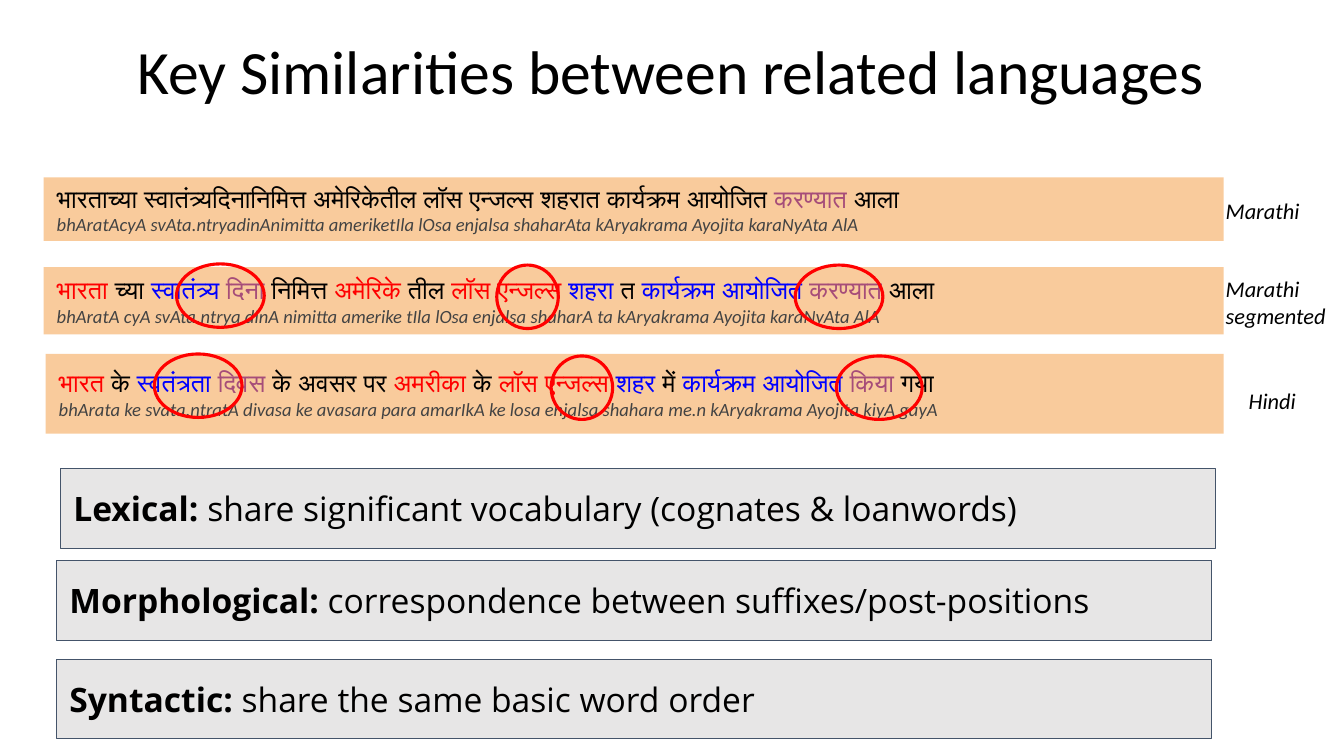
import pptx
import pptx.util
import pptx.dml.color
import pptx.enum.shapes
import pptx.enum.text
import pptx.oxml.ns
import lxml.etree

Cm, Pt = pptx.util.Cm, pptx.util.Pt
SHAPES = pptx.enum.shapes.MSO_SHAPE
ANCHOR = pptx.enum.text.MSO_ANCHOR
ALIGN = pptx.enum.text.PP_ALIGN

# Content: colours mark words that correspond across the sentences
BLACK, RED, BLUE, PURPLE = "000000", "FF0000", "0000FF", "A64D79"
TITLE = "Key Similarities between related languages"

# Each sentence: box (left, top, width, height), coloured words, transliteration
SENTENCES = [
    ((1.1, 4.47, 29.74, 1.6),
     [("भारताच्या स्वातंत्र्यदिनानिमित्त अमेरिकेतील लॉस एन्जल्स शहरात कार्यक्रम आयोजित ", BLACK),
      ("करण्यात", PURPLE), (" आला", BLACK)],
     "bhAratAcyA svAta.ntryadinAnimitta ameriketIla lOsa enjalsa shaharAta "
     "kAryakrama Ayojita karaNyAta AlA"),
    ((1.1, 6.73, 29.74, 1.7),
     [("भारता", RED), (" च्या ", BLACK), ("स्वातंत्र्य ", BLUE), ("दिना", PURPLE),
      (" निमित्त ", BLACK), ("अमेरिके", RED), (" तील ", BLACK), ("लॉस एन्जल्स ", RED),
      ("शहरा", BLUE), (" त ", BLACK), ("कार्यक्रम आयोजित ", BLUE),
      ("करण्यात", PURPLE), (" आला", BLACK)],
     "bhAratA cyA svAta.ntrya dinA nimitta amerike tIla lOsa enjalsa shaharA ta "
     "kAryakrama Ayojita karaNyAta AlA"),
    ((1.15, 8.92, 29.69, 2.01),
     [("भारत", RED), (" के ", BLACK), ("स्वतंत्रता ", BLUE), ("दिवस", PURPLE),
      (" के अवसर पर ", BLACK), ("अमरीका", RED), (" के ", BLACK), ("लॉस एन्जल्स ", RED),
      ("शहर", BLUE), (" में ", BLACK), ("कार्यक्रम आयोजित ", BLUE),
      ("किया", PURPLE), (" गया", BLACK)],
     "bhArata ke svata.ntratA divasa ke avasara para amarIkA ke losa enjalsa "
     "shahara me.n kAryakrama Ayojita kiyA gayA"),
]

LABELS = [
    ("Marathi", 30.56, 4.65, 2.57),
    ("Marathi\vsegmented", 30.56, 6.6, 3.3),
    ("Hindi", 31.14, 9.42, 2.57),
]

SIMILARITIES = [
    ("Lexical: ", "share significant vocabulary (cognates & loanwords)", 1.52, 11.81),
    ("Morphological: ", "correspondence between suffixes/post-positions", 1.42, 14.12),
    ("Syntactic: ", "share the same basic word order", 1.42, 16.61),
]

# Circled words: left, top, width
CIRCLES = [
    (4.45, 6.65, 2.21), (3.89, 8.92, 2.21), (20.04, 6.68, 2.21),
    (21.08, 8.97, 2.16), (12.52, 6.68, 1.55), (13.89, 8.97, 1.55),
]


def color(value):
    return pptx.dml.color.RGBColor.from_string(value)


def format_run(run, name, size, tint=BLACK, bold=False, italic=False):
    font = run.font
    font.name, font.size, font.bold, font.italic = name, Pt(size), bold, italic
    font.color.rgb = color(tint)
    # Devanagari is drawn with the complex-script font
    complex_script = lxml.etree.SubElement(
        run._r.get_or_add_rPr(), pptx.oxml.ns.qn("a:cs"))
    complex_script.set("typeface", name)


def add_run(paragraph, text, *style, **options):
    run = paragraph.add_run()
    run.text = text
    format_run(run, *style, **options)


def set_frame(frame, inset, anchor):
    frame.word_wrap = True
    frame.vertical_anchor = anchor
    frame.margin_left = frame.margin_right = Cm(inset)
    frame.margin_top = frame.margin_bottom = Cm(inset)


def add_shape(kind, box, fill=None, line=None, line_width=0.75):
    shape = slide.shapes.add_shape(kind, *[Cm(length) for length in box])
    shape.shadow.inherit = False
    if fill:
        shape.fill.solid()
        shape.fill.fore_color.rgb = color(fill)
    else:
        shape.fill.background()
    if line:
        shape.line.color.rgb = color(line)
        shape.line.width = Pt(line_width)
    else:
        shape.line.fill.background()
    set_frame(shape.text_frame, 0.33, ANCHOR.MIDDLE)
    shape.text_frame.paragraphs[0].alignment = ALIGN.LEFT
    return shape


presentation = pptx.Presentation()
presentation.slide_width, presentation.slide_height = Cm(33.87), Cm(19.05)
slide = presentation.slides.add_slide(presentation.slide_layouts[5])

# Title
title = slide.shapes.title
title.left, title.top, title.width, title.height = Cm(1.14), Cm(0.81), Cm(31.55), Cm(2.13)
set_frame(title.text_frame, 0.25, ANCHOR.MIDDLE)
title.text_frame.text = TITLE
heading = title.text_frame.paragraphs[0]
heading.alignment, heading.line_spacing = ALIGN.CENTER, 0.9
format_run(heading.runs[0], "Calibri", 44)

# Sentences with transliteration
for box, words, transliteration in SENTENCES:
    frame = add_shape(SHAPES.RECTANGLE, box, fill="F9CB9C").text_frame
    for word, tint in words:
        add_run(frame.paragraphs[0], word, "Arial", 18, tint)
    second_line = frame.add_paragraph()
    second_line.alignment = ALIGN.LEFT
    add_run(second_line, transliteration, "Calibri", 13.3, "434343", italic=True)

# Language labels
for text, left, top, width in LABELS:
    label = slide.shapes.add_textbox(Cm(left), Cm(top), Cm(width), Cm(1.42))
    set_frame(label.text_frame, 0.33, ANCHOR.TOP)
    paragraph = label.text_frame.paragraphs[0]
    paragraph.text = text
    for run in paragraph.runs:
        format_run(run, "Calibri", 16, italic=True)

# Kinds of similarity
for kind, description, left, top in SIMILARITIES:
    panel = add_shape(SHAPES.RECTANGLE, (left, top, 29.11, 2.01), "E7E6E6", "44546A")
    paragraph = panel.text_frame.paragraphs[0]
    add_run(paragraph, kind, "Open Sans", 24, bold=True)
    add_run(paragraph, description, "Open Sans", 24)

# Circles around matching words
for left, top, width in CIRCLES:
    add_shape(SHAPES.OVAL, (left, top, width, 1.6), line=RED, line_width=2.25)

presentation.save("out.pptx")
